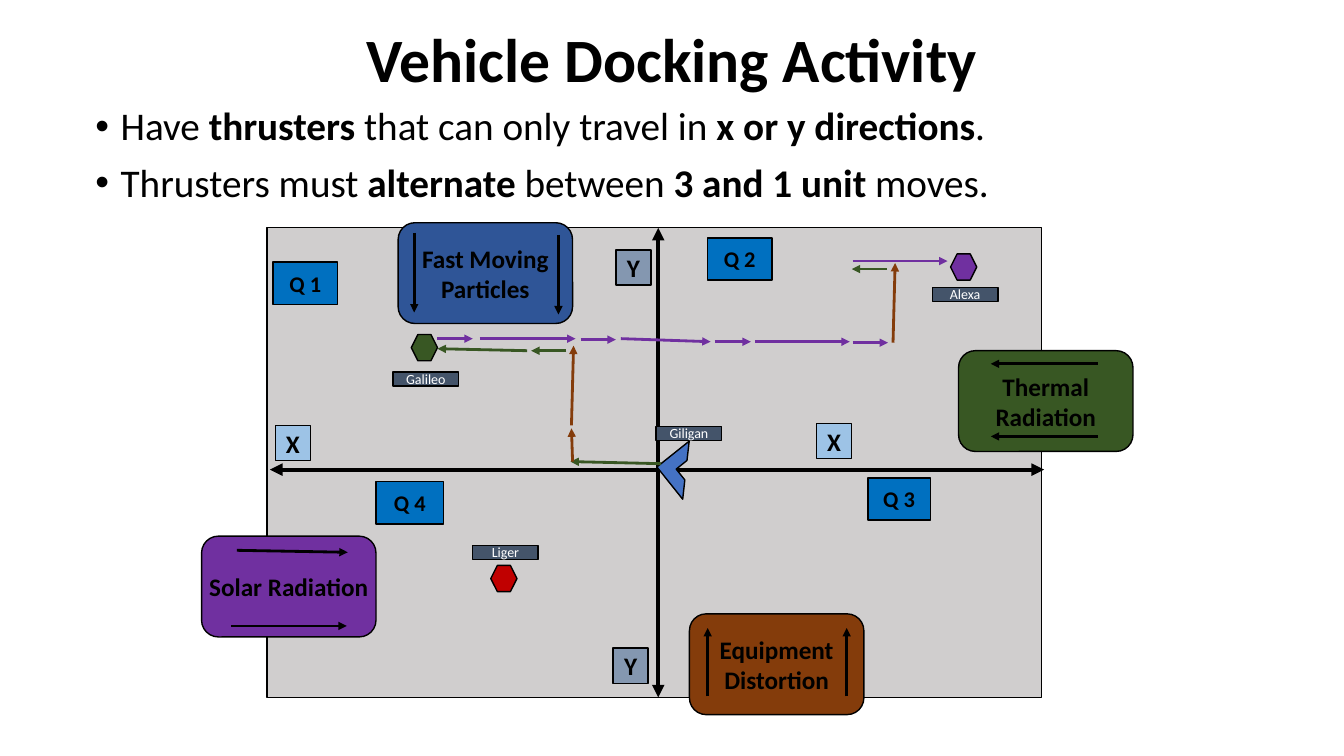
from pptx import Presentation
from pptx.dml.color import RGBColor
from pptx.enum.shapes import MSO_CONNECTOR, MSO_SHAPE
from pptx.enum.text import MSO_ANCHOR, MSO_AUTO_SIZE, PP_ALIGN
from pptx.oxml.ns import qn
from pptx.util import Pt
from lxml.etree import SubElement

BLACK = RGBColor(0x00, 0x00, 0x00)
WHITE = RGBColor(0xFF, 0xFF, 0xFF)
MAP_GRAY = RGBColor(0xD0, 0xCE, 0xCE)
SLATE = RGBColor(0x44, 0x54, 0x6A)
GREEN = RGBColor(0x38, 0x57, 0x23)
PURPLE = RGBColor(0x70, 0x30, 0xA0)
RED = RGBColor(0xC0, 0x00, 0x00)
BROWN = RGBColor(0x84, 0x3C, 0x0B)
NAVY = RGBColor(0x2F, 0x55, 0x97)
SHIP_BLUE = RGBColor(0x44, 0x72, 0xC4)
QUADRANT_BLUE = RGBColor(0x00, 0x70, 0xC0)
X_BLUE = RGBColor(0x9D, 0xC3, 0xE6)
Y_BLUE = RGBColor(0x84, 0x97, 0xB0)
FONT = "Calibri"

# Positions below are points from the top left corner of the map
QUADRANTS = [("Q 1", 4.3, 24.5, 46), ("Q 2", 314.6, 7.2, 46),
             ("Q 3", 429.1, 178.6, 44.6), ("Q 4", 77.8, 181.4, 48.2)]
AXIS_LETTERS = [("X", X_BLUE, 392.4, 139.7), ("X", X_BLUE, 5.8, 141.1),
                ("Y", Y_BLUE, 249.1, 15.8), ("Y", Y_BLUE, 247, 300.2)]
# name, colour, hexagon left and top, label offset from hexagon top
STATIONS = [("Galileo", GREEN, 103, 76.3, 26.6),
            ("Alexa", PURPLE, 488.2, 18.7, 23.8),
            ("Liger", RED, 159.8, 241.2, -14.4)]
MOVES = {
    GREEN: [(281.5, 168.5, 216.7, 167), (213.8, 87.8, 188.6, 87.8),
            (185.8, 87.8, 121.7, 86.4), (442.8, 29.5, 417.6, 29.5)],
    BROWN: [(218.2, 167, 217.4, 143.3), (217.4, 141.1, 218.9, 84.2),
            (447.1, 82.1, 448.6, 25.2)],
    PURPLE: [(121.7, 79.2, 146.9, 79.2), (151.9, 79.2, 220.3, 79.2),
             (223.9, 79.9, 249.1, 79.9), (252.7, 79.2, 316.8, 81.4),
             (319.7, 81.4, 345.6, 81.4), (348.5, 81.4, 416.2, 81.4),
             (418.3, 82.1, 443.5, 82.1), (418.3, 23.8, 486, 23.8)],
}
# text, colour, left, top, arrows measured from the corner of the hazard
HAZARDS = [
    ("Fast Moving Particles", NAVY, 93.6, -3.6,
     [(114.5, 8.6, 114.5, 65.5), (11.5, 7.2, 11.5, 64.1)]),
    ("Thermal Radiation", GREEN, 493.9, 87.8,
     [(99.4, 9.4, 23, 9.4), (99.4, 61.2, 23, 61.2)]),
    ("Equipment Distortion", BROWN, 301.7, 275.8,
     [(112.3, 59, 112.3, 10.1), (13, 59, 13, 10.1)]),
    ("Solar Radiation", PURPLE, -46.8, 220.3,
     [(25.2, 10.1, 104.4, 11.5), (20.9, 64.1, 103.7, 64.1)]),
]
RULES = ["Have *thrusters *that can only travel in *x or y directions*.",
         "Thrusters must *alternate* between *3 and 1 unit *moves."]


def set_font(font, size, color, bold):
    font.name, font.size, font.bold = FONT, Pt(size), bold
    font.color.rgb = color


def place(shape, box):
    shape.left, shape.top, shape.width, shape.height = map(Pt, box)


def add_block(page, kind, box, fill, text="", size=18, color=BLACK, bold=True):
    block = page.shapes.add_shape(kind, *map(Pt, box))
    block.shadow.inherit = False
    block.fill.solid()
    block.fill.fore_color.rgb = fill
    block.line.color.rgb = BLACK
    block.line.width = Pt(1)
    if text:
        frame = block.text_frame
        frame.word_wrap = True
        frame.vertical_anchor = MSO_ANCHOR.MIDDLE
        frame.margin_left = frame.margin_right = 0
        frame.margin_top = frame.margin_bottom = 0
        para = frame.paragraphs[0]
        para.text = text
        para.alignment = PP_ALIGN.CENTER
        set_font(para.font, size, color, bold)
    return block


def add_arrow(page, origin, ends, color, width=2, double=False):
    left, top = origin
    x1, y1, x2, y2 = ends
    arrow = page.shapes.add_connector(
        MSO_CONNECTOR.STRAIGHT, Pt(left + x1), Pt(top + y1), Pt(left + x2), Pt(top + y2))
    arrow.line.color.rgb = color
    arrow.line.width = Pt(width)
    outline = arrow.line._get_or_add_ln()
    for end in (["a:headEnd"] if double else []) + ["a:tailEnd"]:
        SubElement(outline, qn(end), type="triangle")
    SubElement(arrow._element.spPr, qn("a:effectLst"))


def add_title(page, box):
    title = page.shapes.title
    place(title, box)
    frame = title.text_frame
    frame.auto_size = MSO_AUTO_SIZE.NONE
    frame.vertical_anchor = MSO_ANCHOR.MIDDLE
    para = frame.paragraphs[0]
    para.text = "Vehicle Docking Activity"
    para.alignment = PP_ALIGN.CENTER
    para.line_spacing = 0.9
    set_font(para.font, 44, BLACK, True)


def add_rules(page, box):
    body = page.placeholders[1]
    place(body, box)
    frame = body.text_frame
    frame.auto_size = MSO_AUTO_SIZE.NONE
    for index, rule in enumerate(RULES):
        para = frame.add_paragraph() if index else frame.paragraphs[0]
        para.line_spacing = 0.9
        para.space_before = Pt(10)
        set_font(para.font, 28, BLACK, False)
        properties = para._p.get_or_add_pPr()
        properties.set("marL", str(Pt(18)))
        properties.set("indent", str(Pt(-18)))
        # Asterisks switch bold on and off
        for part, words in enumerate(rule.split("*")):
            span = para.add_run()
            span.text = words
            span.font.bold = part % 2 == 1


def add_label(page, left, top, name):
    add_block(page, MSO_SHAPE.RECTANGLE, (left, top, 46.8, 10.1), SLATE,
              name, 10, WHITE, False)


def add_map(page, box):
    left, top, width, height = box
    origin = left, top

    # Field and axes
    add_block(page, MSO_SHAPE.RECTANGLE, box, MAP_GRAY)
    for axis in [(279.4, 0, 279.4, height), (2, 172.8, width + 2, 172.8)]:
        add_arrow(page, origin, axis, BLACK, 3, double=True)

    # Stations with their names
    for name, color, x, y, label_offset in STATIONS:
        add_block(page, MSO_SHAPE.HEXAGON, (left + x, top + y, 18.7, 18.7), color)
        add_label(page, left + x - 13, top + y + label_offset, name)

    # Axis letters and quadrants
    for letter, color, x, y in AXIS_LETTERS:
        add_block(page, MSO_SHAPE.RECTANGLE, (left + x, top + y, 25.2, 25.2),
                  color, letter)
    for name, x, y, quadrant_width in QUADRANTS:
        add_block(page, MSO_SHAPE.RECTANGLE, (left + x, top + y, quadrant_width, 30.2),
                  QUADRANT_BLUE, name, 16)

    # Vehicle at the centre
    vehicle = add_block(page, MSO_SHAPE.HALF_FRAME,
                        (left + 284.4, top + 158.4, 29.5, 29.5), SHIP_BLUE)
    vehicle.rotation = 321.4
    add_label(page, left + 277.9, top + 141.8, "Giligan")

    # Thruster moves
    for color, moves in MOVES.items():
        for move in moves:
            add_arrow(page, origin, move, color)

    # Hazards, each with a pair of arrows
    for text, color, x, y, arrows in HAZARDS:
        corner = left + x, top + y
        add_block(page, MSO_SHAPE.ROUNDED_RECTANGLE, (*corner, 124.6, 72), color, text)
        for ends in arrows:
            add_arrow(page, corner, ends, BLACK)


def main():
    deck = Presentation()
    deck.slide_width, deck.slide_height = Pt(960), Pt(540)
    page = deck.slides.add_slide(deck.slide_layouts[1])
    add_title(page, (66, 16, 828, 57))
    add_rules(page, (61, 72.7, 752.4, 415.4))
    add_map(page, (190.8, 162.7, 553, 335.5))
    deck.save("out.pptx")


if __name__ == "__main__":
    main()
